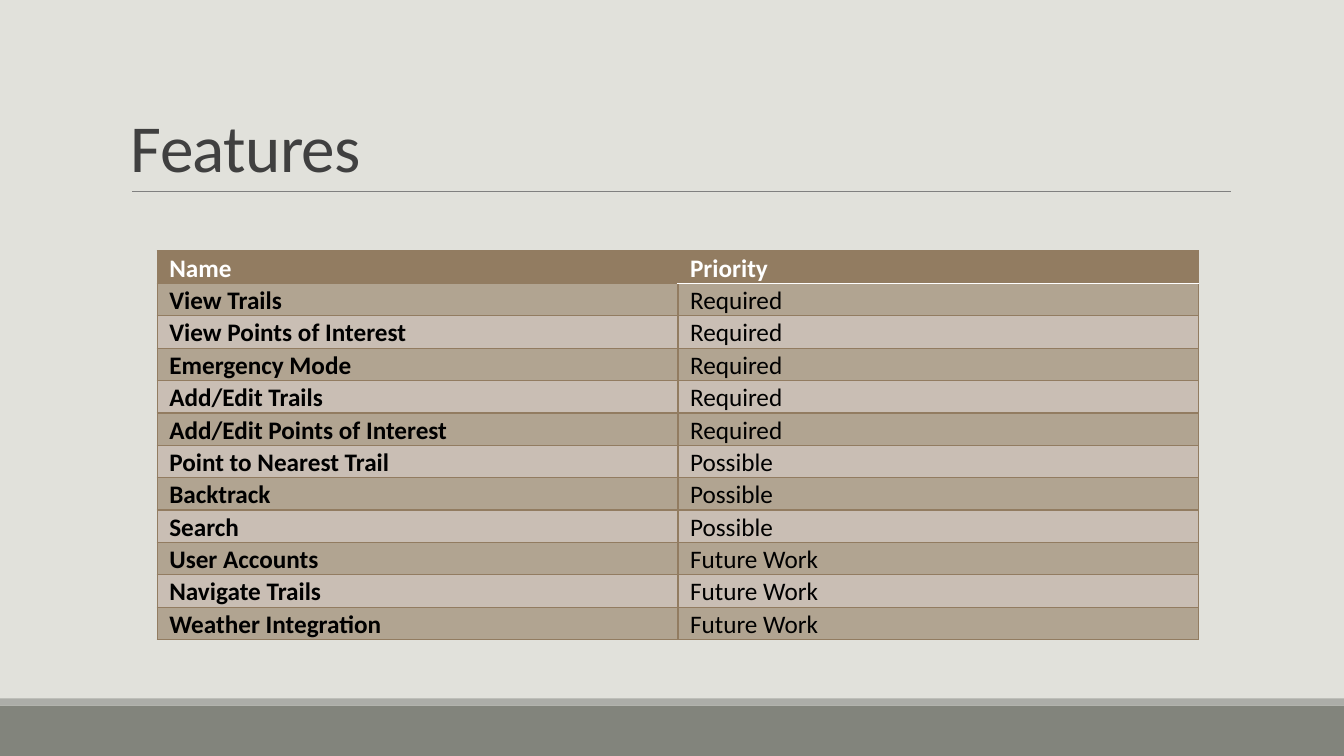
from dataclasses import dataclass

from lxml import etree
from pptx import Presentation
from pptx.dml.color import RGBColor
from pptx.enum.shapes import MSO_CONNECTOR, MSO_SHAPE
from pptx.enum.text import MSO_ANCHOR
from pptx.oxml.ns import qn
from pptx.util import Inches, Pt

RECTANGLE = MSO_SHAPE.RECTANGLE
STRAIGHT = MSO_CONNECTOR.STRAIGHT
BOTTOM = MSO_ANCHOR.BOTTOM
BLANK_LAYOUT = 6


@dataclass(frozen=True)
class Theme:
    """Colours, font and type sizes of the slide."""
    background: str = "E1E1DB"
    footer: str = "82847C"
    footer_edge: str = "ACADA8"
    rule: str = "808080"
    title: str = "404040"
    accent: str = "927C61"
    dark_band: str = "B1A491"
    light_band: str = "C9BEB4"
    white: str = "FFFFFF"
    black: str = "000000"
    font: str = "Calibri"
    title_size: int = 48
    table_size: int = 18


THEME = Theme()
FEATURES = [
    ("Name", "Priority"),
    ("View Trails", "Required"),
    ("View Points of Interest", "Required"),
    ("Emergency Mode", "Required"),
    ("Add/Edit Trails", "Required"),
    ("Add/Edit Points of Interest", "Required"),
    ("Point to Nearest Trail", "Possible"),
    ("Backtrack", "Possible"),
    ("Search", "Possible"),
    ("User Accounts", "Future Work"),
    ("Navigate Trails", "Future Work"),
    ("Weather Integration", "Future Work"),
]


def set_attributes(target, values):
    """Set every named attribute on the target."""
    for name, value in values.items():
        setattr(target, name, value)


def paint(fill, color):
    """Give a fill one solid colour."""
    fill.solid()
    fill.fore_color.rgb = RGBColor.from_string(color)


def write_text(paragraph, text, size, color, spacing, bold=False):
    """Write one formatted run and return it."""
    paragraph.line_spacing = spacing
    run = paragraph.add_run()
    run.text = text
    set_attributes(run.font, {"name": THEME.font, "size": Pt(size), "bold": bold})
    run.font.color.rgb = RGBColor.from_string(color)
    return run


def add_footer(slide, left, top, width, height):
    """Draw the footer bar with its thin upper edge."""
    edge = 0.07
    bands = [(top + edge, height - edge, THEME.footer), (top, edge, THEME.footer_edge)]
    for band_top, band_height, color in bands:
        band = slide.shapes.add_shape(
            RECTANGLE, Inches(left), Inches(band_top), Inches(width), Inches(band_height))
        band.shadow.inherit = False
        paint(band.fill, color)
        band.line.fill.background()


def add_title(slide, left, top, width, height):
    """Place the title at the bottom of its box, above a thin rule."""
    baseline = Inches(top + height)
    rule = slide.shapes.add_connector(
        STRAIGHT, Inches(left + 0.11), baseline, Inches(left + 11.01), baseline)
    rule.line.width = Pt(0.5)
    rule.line.color.rgb = RGBColor.from_string(THEME.rule)
    etree.SubElement(rule.element.spPr, qn("a:effectLst"))

    box = slide.shapes.add_textbox(Inches(left), Inches(top), Inches(width), Inches(height))
    set_attributes(box.text_frame, {"word_wrap": True, "vertical_anchor": BOTTOM})
    run = write_text(box.text_frame.paragraphs[0], "Features",
                     THEME.title_size, THEME.title, 0.85)
    run.font._element.set("spc", "-50")


def add_borders(cell, colors):
    """Draw the cell borders from a dict of side and colour."""
    properties = cell._tc.get_or_add_tcPr()
    for side, color in colors.items():
        width = Pt(1.25 if color == THEME.white else 1)
        line = etree.SubElement(properties, qn(f"a:ln{side}"), w=str(width))
        fill = etree.SubElement(line, qn("a:solidFill"))
        etree.SubElement(fill, qn("a:srgbClr"), val=color)


def add_feature_table(slide, left, top, width, row_height):
    """Place the banded table of features and priorities."""
    row_count, column_count = len(FEATURES), len(FEATURES[0])
    table = slide.shapes.add_table(
        row_count, column_count, Inches(left), Inches(top),
        Inches(width), Inches(row_height * row_count)).table
    table.horz_banding = False
    for row_index, texts in enumerate(FEATURES):
        header = row_index == 0
        band = THEME.dark_band if row_index % 2 else THEME.light_band
        for column_index, text in enumerate(texts):
            cell = table.cell(row_index, column_index)
            set_attributes(cell, {
                "margin_left": Inches(0.12), "margin_right": Inches(0.12),
                "margin_top": 0, "margin_bottom": 0})
            borders = dict.fromkeys("LRTB", THEME.accent)
            if column_index == 1 and row_index < 2:
                borders["B" if header else "T"] = THEME.white
            add_borders(cell, borders)
            paint(cell.fill, THEME.accent if header else band)
            write_text(cell.text_frame.paragraphs[0], text, THEME.table_size,
                       THEME.white if header else THEME.black, 1.07,
                       header or column_index == 0)


def main():
    """Build and save the features slide."""
    presentation = Presentation()
    set_attributes(presentation, {"slide_width": Inches(13.33), "slide_height": Inches(7.5)})
    slide = presentation.slides.add_slide(presentation.slide_layouts[BLANK_LAYOUT])
    paint(slide.background.fill, THEME.background)
    add_footer(slide, 0, 6.93, 13.33, 0.57)
    add_title(slide, 1.2, 0.31, 11, 1.59)
    add_feature_table(slide, 1.56, 2.49, 10.33, 0.31)
    presentation.save("out.pptx")


if __name__ == "__main__":
    main()
